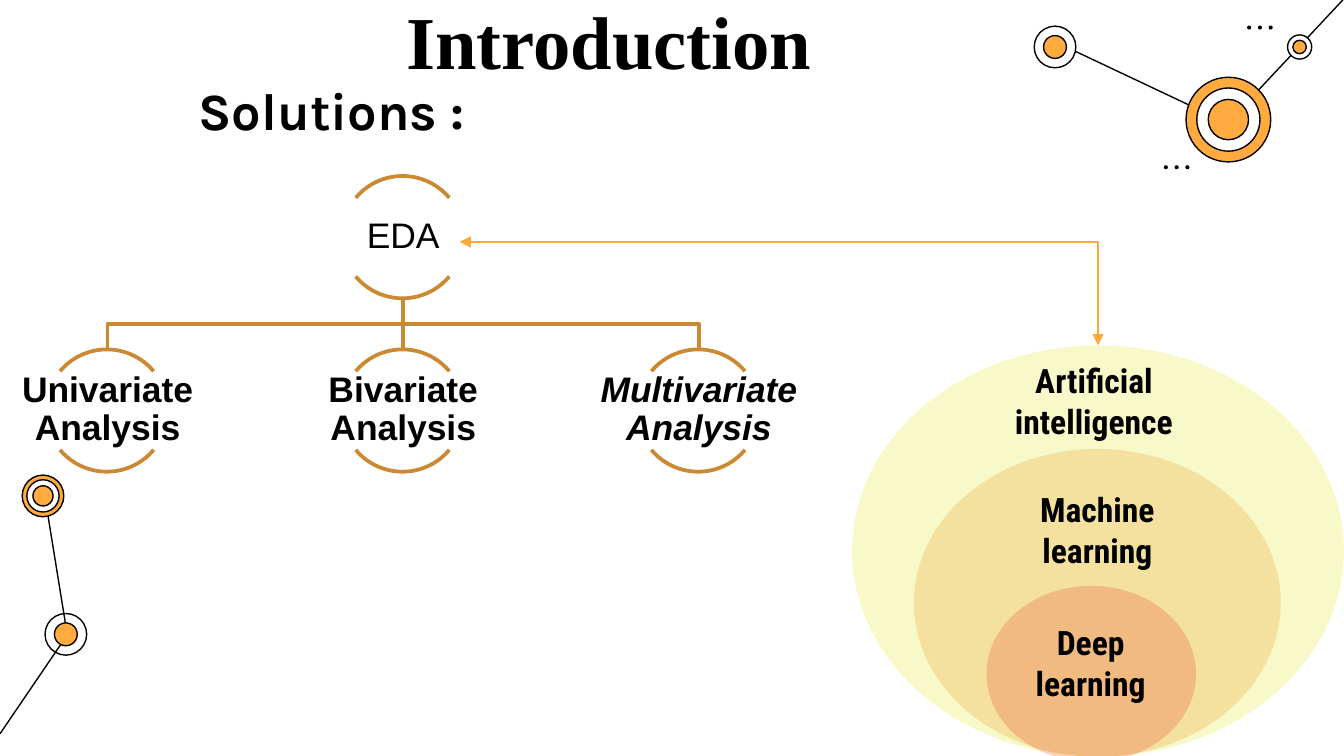
from pptx import Presentation
from pptx.dml.color import RGBColor
from pptx.enum.shapes import MSO_CONNECTOR, MSO_SHAPE
from pptx.enum.text import MSO_ANCHOR, PP_ALIGN
from pptx.oxml.ns import qn
from pptx.util import Pt
from lxml.etree import SubElement

PX = 9144
BLACK = RGBColor(0x00, 0x00, 0x00)
WHITE = RGBColor(0xFF, 0xFF, 0xFF)
ORANGE = RGBColor(0xFF, 0xAB, 0x40)
AMBER = RGBColor(0xFE, 0xA8, 0x3A)
BROWN = RGBColor(0xCC, 0x89, 0x33)
LIME = RGBColor(0xE4, 0xEA, 0x27)
GOLD = RGBColor(0xE9, 0x9B, 0x27)
RED = RGBColor(0xEA, 0x48, 0x27)


def emu(*vals):
    return [int(val * PX) for val in vals]


class Board:
    thin = 0.75
    thick = 2

    def __init__(self, slide):
        self.shapes = slide.shapes

    def paint(self, shape, fill=None, line=None, width=thin):
        shape.shadow.inherit = False
        if fill is None:
            shape.fill.background()
        else:
            shape.fill.solid()
            shape.fill.fore_color.rgb = fill
        if line is None:
            shape.line.fill.background()
        else:
            shape.line.color.rgb = line
            shape.line.width = Pt(width)

    def oval(self, x, y, w, h, fill, line=None, alpha=None):
        shape = self.shapes.add_shape(MSO_SHAPE.OVAL, *emu(x, y, w, h))
        self.paint(shape, fill, line)
        if alpha is not None:
            color = shape.element.spPr.find(qn("a:solidFill"))[0]
            SubElement(color, qn("a:alpha"), val=str(alpha * 1000))

    def rings(self, x, y, *bands):
        for size, fill in bands:
            self.oval(x - size / 2, y - size / 2, size, size, fill, BLACK)

    def dots(self, x, y):
        for step in range(3):
            self.oval(x + 8 * step, y, 3, 3, BLACK)

    def line(self, start, end, color=BLACK, width=thin, bent=False, arrows=False):
        kind = MSO_CONNECTOR.ELBOW if bent else MSO_CONNECTOR.STRAIGHT
        link = self.shapes.add_connector(kind, *emu(*start, *end))
        link.line.color.rgb = color
        link.line.width = Pt(width)
        props = link.element.spPr
        if bent:
            props.find(qn("a:prstGeom")).set("prst", "bentConnector2")
        if arrows:
            for tag in ("a:headEnd", "a:tailEnd"):
                SubElement(props.find(qn("a:ln")), qn(tag), type="triangle")
        SubElement(props, qn("a:effectLst"))

    def branch(self, *points):
        pen = self.shapes.build_freeform(*points[0], scale=PX)
        pen.add_line_segments(points[1:], close=False)
        self.paint(pen.convert_to_shape(), line=BROWN, width=self.thick)

    def arcs(self, x, y):
        for start, end in ((132, 192), (24, 84)):
            arc = self.shapes.add_shape(MSO_SHAPE.ARC, *emu(x, y, 91, 91))
            arc.adjustments[0] = start
            arc.adjustments[1] = end
            self.paint(arc, line=BROWN, width=self.thick)

    def text(self, words, x, y, w, h, size=18, font="Roboto Condensed", bold=True,
             italic=False, align=PP_ALIGN.CENTER, anchor=MSO_ANCHOR.MIDDLE,
             inset=(10, 10), spacing=None):
        frame = self.shapes.add_textbox(*emu(x, y, w, h)).text_frame
        frame.word_wrap = True
        frame.vertical_anchor = anchor
        frame.margin_left = frame.margin_right = inset[0] * PX
        frame.margin_top = frame.margin_bottom = inset[1] * PX
        para = frame.paragraphs[0]
        para.alignment = align
        para.line_spacing = spacing
        run = para.add_run()
        run.text = words
        run.font.size = Pt(size)
        run.font.name = font
        run.font.bold = bold
        run.font.italic = italic
        run.font.color.rgb = BLACK

    def node(self, words, x, y, **style):
        self.arcs(x, y)
        self.text(words, x - 45, y + 16, 182, 58, size=19, font="Arial",
                  inset=(1, 1), spacing=0.9, **style)


def main():
    deck = Presentation()
    deck.slide_width = 1000 * PX
    deck.slide_height = deck.slide_width * 9 // 16
    board = Board(deck.slides.add_slide(deck.slide_layouts[6]))

    board.line((50, 472), (33, 367))
    board.line((0, 546), (49, 474))
    board.rings(49, 472, (31, None), (17, ORANGE))
    board.rings(32, 369, (31, ORANGE), (24, WHITE), (15, ORANGE))
    board.line((914, 92), (787, 32))
    board.line((1000, -1), (914, 91))
    board.rings(914, 89, (63, ORANGE), (47, WHITE), (30, ORANGE))
    board.rings(785, 35, (31, WHITE), (17, ORANGE))
    board.rings(967, 35, (18, WHITE), (10, ORANGE))
    board.dots(928, 19)
    board.dots(866, 123)

    board.text("Introduction", 278, -14, 350, 82, size=40, font="Times New Roman",
               anchor=MSO_ANCHOR.TOP)
    board.text("Solutions :", 138, 53, 258, 57, size=28, font="Karla",
               align=PP_ALIGN.LEFT, anchor=MSO_ANCHOR.TOP, inset=(10, 5))

    root, gap = 254, 220
    mid = root + 46
    for side in (gap, -gap):
        board.branch((mid, 222), (mid, 241), (mid + side, 241), (mid + side, 260))
    board.line((mid, 222), (mid, 260), BROWN, board.thick)
    board.node("EDA", root, 131, bold=False)
    board.node("Univariate Analysis", root - gap, 260)
    board.node("Bivariate Analysis", root, 260)
    board.node("Multivariate Analysis", root + gap, 260, italic=True)

    for words, ring, label, fill in (
        ("Artificial intelligence", (634, 257, 366, 306), (736, 273, 156, 50), LIME),
        ("Machine learning", (680, 334, 273, 229), (749, 374, 135, 40), GOLD),
        ("Deep learning", (734, 436, 156, 131), (744, 473, 135, 40), RED),
    ):
        board.oval(*ring, fill, alpha=25)
        board.text(words, *label)
    board.line((342, 180), (817, 257), AMBER, bent=True, arrows=True)

    deck.save("out.pptx")


if __name__ == "__main__":
    main()
